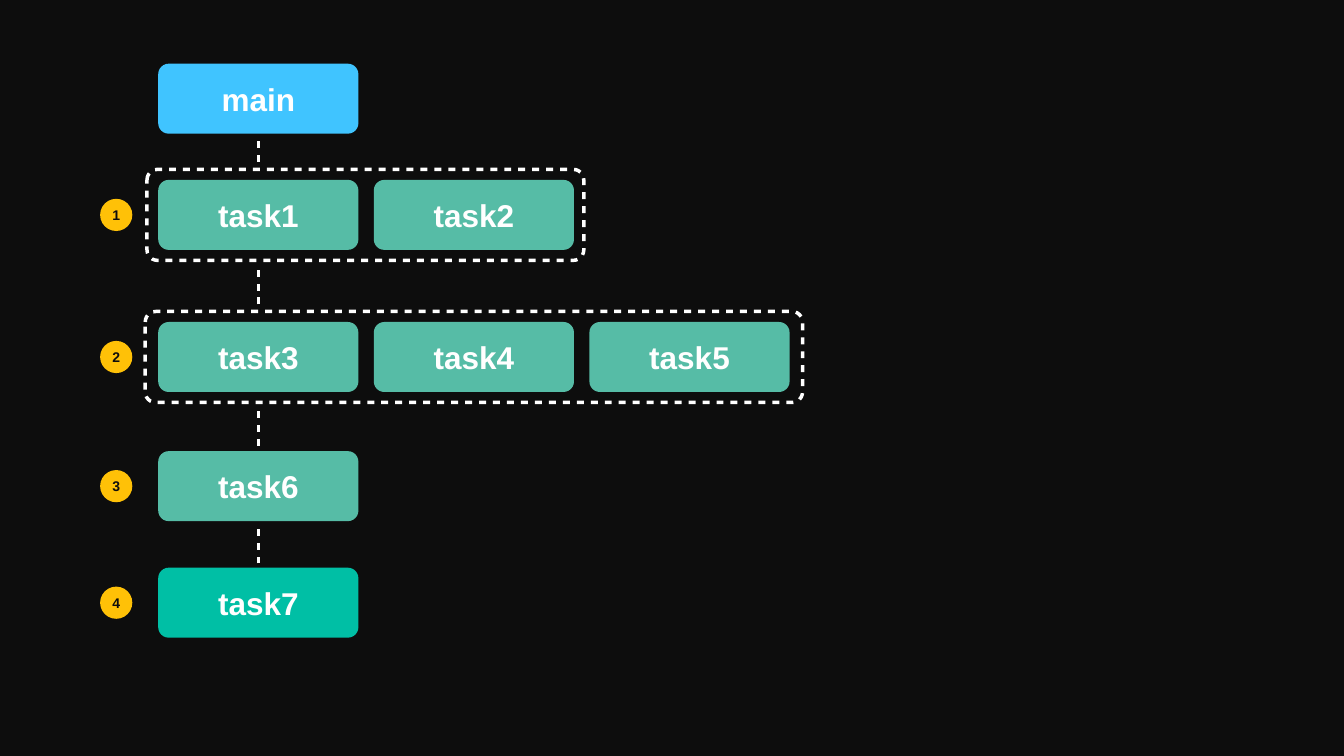
import pptx
import pptx.util
import pptx.dml.color
import pptx.enum.shapes
import pptx.enum.text
import pptx.oxml
import pptx.oxml.ns

Pt = pptx.util.Pt
SHAPES = pptx.enum.shapes.MSO_SHAPE

COLORS = {
    "background": "0D0D0D",
    "main": "40C4FF",
    "task": "56BCA6",
    "last": "00BFA5",
    "badge": "FFC107",
    "white": "FFFFFF",
}

BOX_LEFT, BOX_WIDTH, BOX_HEIGHT = 226, 286, 100
BOX_PITCH = 308
BADGE_LEFT, BADGE_SIZE = 143, 46
FRAME_MARGIN = 15

MAIN_TOP = 91
STEPS = [
    (257, "task", ["task1", "task2"]),
    (460, "task", ["task3", "task4", "task5"]),
    (644.5, "task", ["task6"]),
    (811, "last", ["task7"]),
]
FRAMES = [(210, 242, 624), (207.5, 445, 939)]
LINKS = [(231, 196.5), (435, 378), (637, 580), (805, 749)]


def rgb(name):
    return pptx.dml.color.RGBColor.from_string(COLORS[name])


def add_label(shape, text, size, color):
    frame = shape.text_frame
    frame.word_wrap = False
    frame.vertical_anchor = pptx.enum.text.MSO_ANCHOR.MIDDLE
    frame.margin_left = frame.margin_right = Pt(4)
    frame.margin_top = frame.margin_bottom = Pt(4)
    paragraph = frame.paragraphs[0]
    paragraph.text = text
    paragraph.alignment = pptx.enum.text.PP_ALIGN.CENTER
    paragraph.font.name = "Arial"
    paragraph.font.size = Pt(size)
    paragraph.font.bold = True
    paragraph.font.color.rgb = rgb(color)


def add_filled(slide, kind, left, top, width, height, color):
    shape = slide.shapes.add_shape(kind, Pt(left), Pt(top), Pt(width), Pt(height))
    shape.shadow.inherit = False
    shape.fill.solid()
    shape.fill.fore_color.rgb = rgb(color)
    shape.line.fill.background()
    return shape


def add_box(slide, column, top, text, color):
    left = BOX_LEFT + column * BOX_PITCH
    box = add_filled(slide, SHAPES.ROUNDED_RECTANGLE, left, top, BOX_WIDTH, BOX_HEIGHT, color)
    box.adjustments[0] = 0.15
    add_label(box, text, 45, "white")


def add_badge(slide, box_top, number):
    top = box_top + (BOX_HEIGHT - BADGE_SIZE) / 2
    badge = add_filled(slide, SHAPES.OVAL, BADGE_LEFT, top, BADGE_SIZE, BADGE_SIZE, "badge")
    add_label(badge, str(number), 20, "background")


def dash(line):
    line.color.rgb = rgb("white")
    line.width = Pt(5)
    pattern = pptx.oxml.parse_xml(
        f'<a:custDash {pptx.oxml.ns.nsdecls("a")}><a:ds d="200000" sp="200000"/></a:custDash>'
    )
    line.fill._xPr.append(pattern)


def add_frame(slide, left, top, width):
    height = BOX_HEIGHT + 2 * FRAME_MARGIN
    frame = slide.shapes.add_shape(
        SHAPES.ROUNDED_RECTANGLE, Pt(left), Pt(top), Pt(width), Pt(height)
    )
    frame.shadow.inherit = False
    frame.adjustments[0] = 0.115
    frame.fill.background()
    dash(frame.line)


def add_link(slide, start, end):
    center = Pt(BOX_LEFT + BOX_WIDTH / 2)
    link = slide.shapes.add_connector(
        pptx.enum.shapes.MSO_CONNECTOR.STRAIGHT, center, Pt(start), center, Pt(end)
    )
    dash(link.line)
    properties = link._element.spPr
    properties.append(pptx.oxml.parse_xml(f'<a:effectLst {pptx.oxml.ns.nsdecls("a")}/>'))


def main():
    presentation = pptx.Presentation()
    presentation.slide_width = Pt(1920)
    presentation.slide_height = Pt(1080)
    slide = presentation.slides.add_slide(presentation.slide_layouts[6])
    slide.background.fill.solid()
    slide.background.fill.fore_color.rgb = rgb("background")

    add_box(slide, 0, MAIN_TOP, "main", "main")
    for number, (top, color, tasks) in enumerate(STEPS, start=1):
        add_badge(slide, top, number)
        for column, task in enumerate(tasks):
            add_box(slide, column, top, task, color)
    for left, top, width in FRAMES:
        add_frame(slide, left, top, width)
    for start, end in LINKS:
        add_link(slide, start, end)

    presentation.save("out.pptx")


if __name__ == "__main__":
    main()
